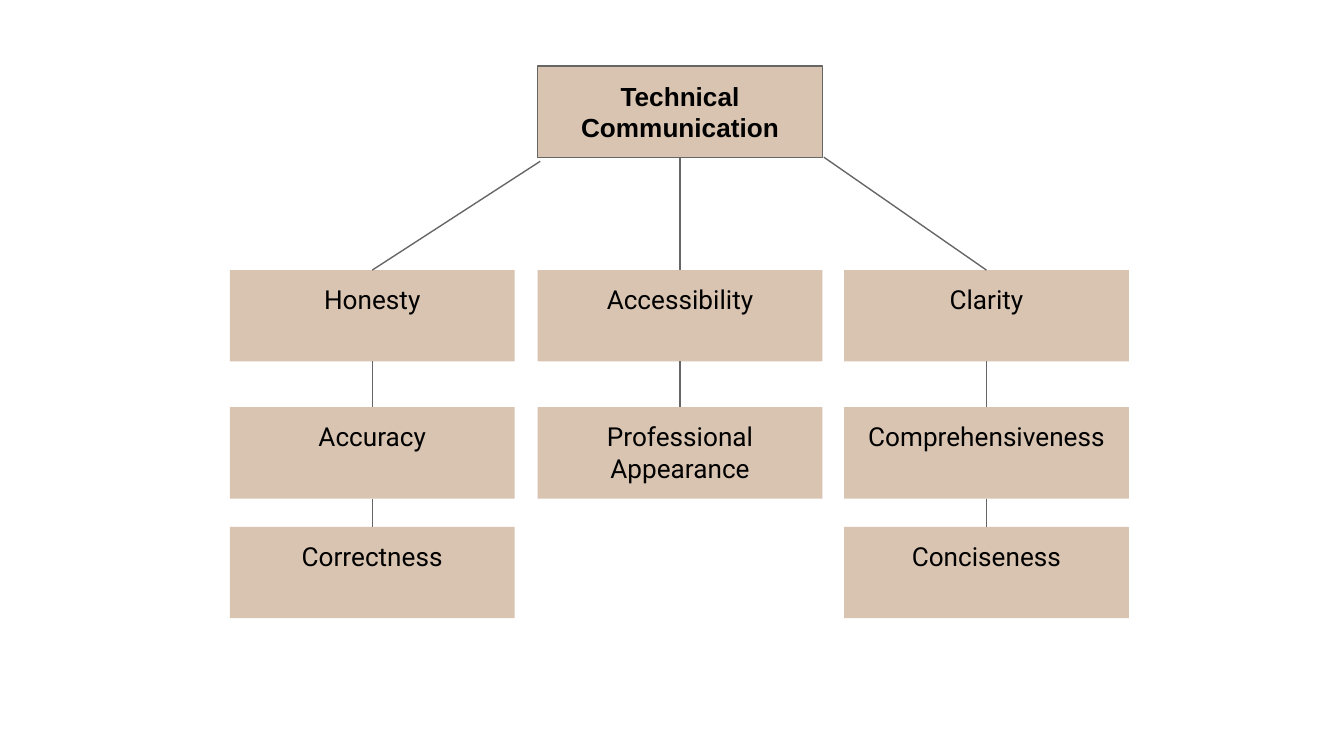
import itertools
from dataclasses import dataclass

import pptx
import pptx.dml.color
import pptx.enum.shapes
import pptx.enum.text
import pptx.oxml
import pptx.oxml.ns
import pptx.util
from pptx.util import Inches

SAND = pptx.dml.color.RGBColor(0xD9, 0xC4, 0xB1)
GREY = pptx.dml.color.RGBColor(0x66, 0x66, 0x66)
BLACK = pptx.dml.color.RGBColor(0x00, 0x00, 0x00)

BOX_WIDTH, BOX_HEIGHT = 2.12, 0.68
ROOT_LEFT, ROOT_TOP = 4.0, 0.49
ROW_TOPS = (2.01, 3.03, 3.92)


@dataclass
class Branch:
    left: float
    link_start: tuple[float, float]
    topics: tuple[str, ...]

    @property
    def center(self) -> float:
        return self.left + BOX_WIDTH / 2


BRANCHES = (
    Branch(1.71, (4.02, 1.2), ("Honesty", "Accuracy", "Correctness")),
    Branch(4.0, (5.06, 1.17), ("Accessibility", "Professional Appearance")),
    Branch(6.28, (6.13, 1.17), ("Clarity", "Comprehensiveness", "Conciseness")),
)


def add_box(page, left: float, top: float, text: str, is_root: bool = False) -> None:
    box = page.shapes.add_shape(
        pptx.enum.shapes.MSO_SHAPE.RECTANGLE,
        Inches(left), Inches(top), Inches(BOX_WIDTH), Inches(BOX_HEIGHT),
    )
    box.shadow.inherit = False
    box.fill.solid()
    box.fill.fore_color.rgb = SAND
    if is_root:
        box.line.color.rgb = GREY
        box.line.width = pptx.util.Pt(0.75)
    else:
        box.line.fill.background()

    frame = box.text_frame
    frame.word_wrap = True
    frame.margin_left = frame.margin_right = Inches(0.1)
    frame.margin_top = frame.margin_bottom = Inches(0.1)
    anchor = pptx.enum.text.MSO_ANCHOR
    frame.vertical_anchor = anchor.MIDDLE if is_root else anchor.TOP
    frame.text = text
    para = frame.paragraphs[0]
    para.alignment = pptx.enum.text.PP_ALIGN.CENTER
    para.font.name = "Arial" if is_root else "Roboto"
    para.font.size = pptx.util.Pt(14)
    para.font.bold = is_root
    para.font.color.rgb = BLACK


def add_link(page, start: tuple[float, float], end: tuple[float, float]) -> None:
    link = page.shapes.add_connector(
        pptx.enum.shapes.MSO_CONNECTOR.STRAIGHT,
        *(Inches(value) for value in start + end),
    )
    link.line.color.rgb = GREY
    link.line.width = pptx.util.Pt(0.75)
    properties = link._element.find(pptx.oxml.ns.qn("p:spPr"))
    properties.append(pptx.oxml.parse_xml(
        f"<a:effectLst {pptx.oxml.ns.nsdecls('a')}/>"
    ))


def main() -> None:
    # Widescreen page, 16:9
    deck = pptx.Presentation()
    deck.slide_width = Inches(10)
    deck.slide_height = Inches(10 * 9 / 16)
    page = deck.slides.add_slide(deck.slide_layouts[6])

    # Root and topic boxes
    add_box(page, ROOT_LEFT, ROOT_TOP, "Technical Communication", is_root=True)
    for branch in BRANCHES:
        for top, topic in zip(ROW_TOPS, branch.topics):
            add_box(page, branch.left, top, topic)

    # Links from the root, then down each branch
    for branch in BRANCHES:
        add_link(page, branch.link_start, (branch.center, ROW_TOPS[0]))
        tops = ROW_TOPS[:len(branch.topics)]
        for upper, lower in itertools.pairwise(tops):
            add_link(page, (branch.center, upper + BOX_HEIGHT), (branch.center, lower))

    deck.save("out.pptx")


if __name__ == "__main__":
    main()
